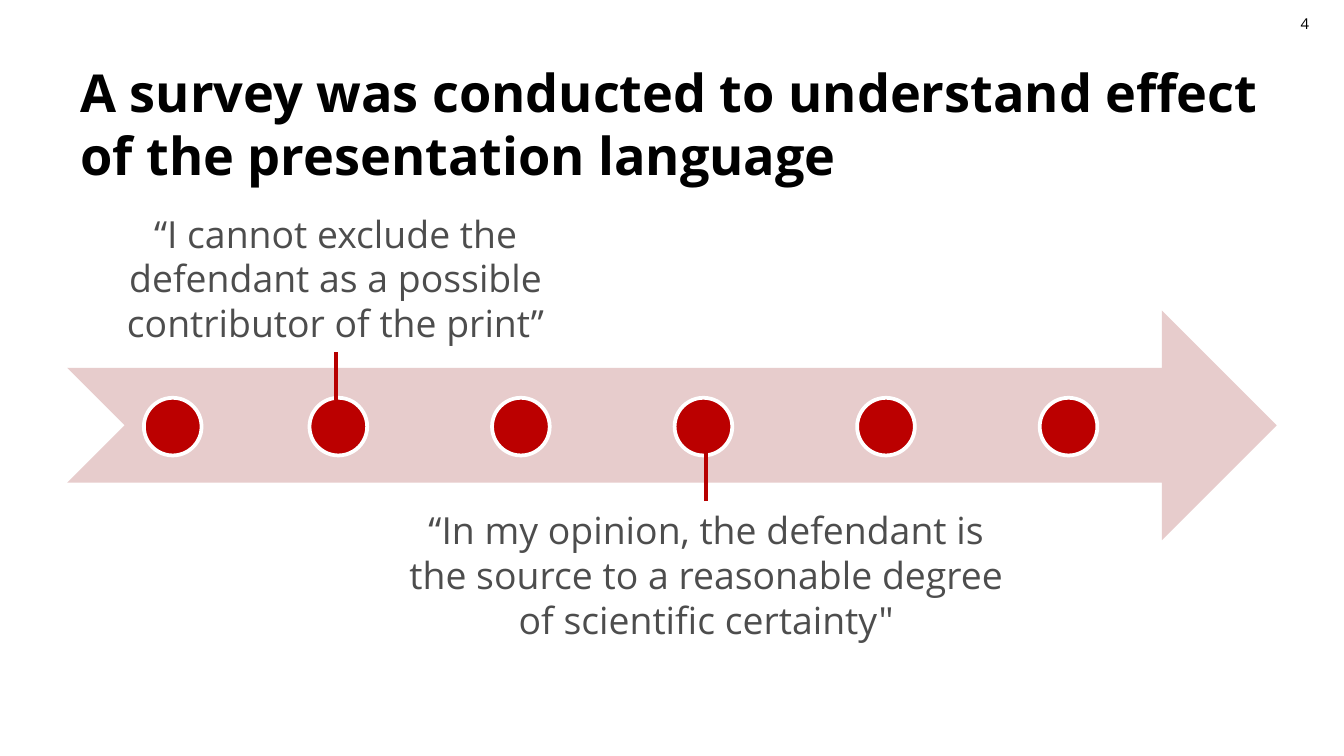
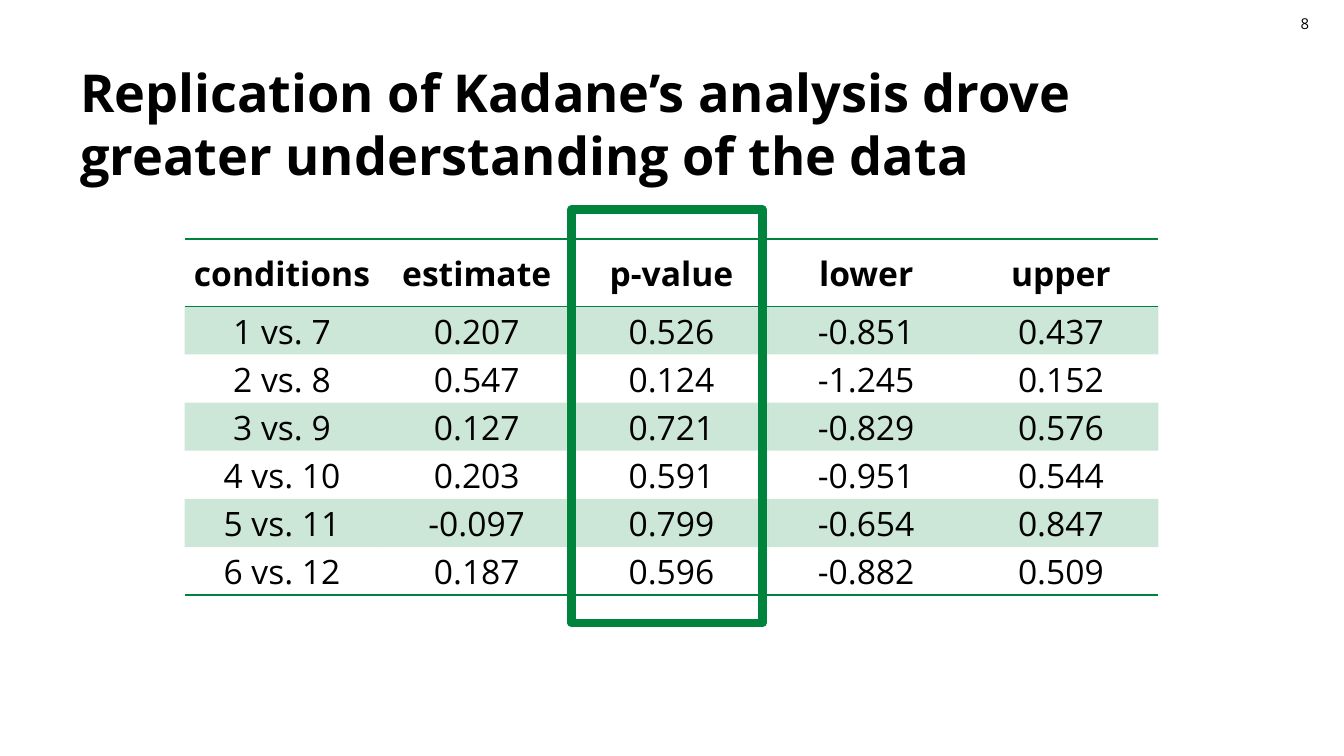
from dataclasses import dataclass

from lxml import etree
from pptx import Presentation
from pptx.dml.color import RGBColor
from pptx.enum.shapes import MSO_CONNECTOR, MSO_SHAPE
from pptx.enum.text import MSO_ANCHOR, PP_ALIGN
from pptx.oxml.ns import qn
from pptx.util import Cm, Pt

LEFT, CENTER = PP_ALIGN.LEFT, PP_ALIGN.CENTER
MIDDLE = MSO_ANCHOR.MIDDLE
ARROW, OVAL, RECT = MSO_SHAPE.NOTCHED_RIGHT_ARROW, MSO_SHAPE.OVAL, MSO_SHAPE.RECTANGLE
STRAIGHT = MSO_CONNECTOR.STRAIGHT
TOP, BOTTOM = 0, 2
PLAIN = "{2D5ABB26-0587-4C30-8999-92F81FD0307C}"


@dataclass(frozen=True)
class Theme:
    font: str = "Open Sans"
    black: str = "000000"
    white: str = "FFFFFF"
    gray: str = "4D4D4D"
    red: str = "BB0000"
    stem: str = "B70000"
    pink: str = "E7CCCC"
    green: str = "00833C"
    title: int = 28
    quote: int = 20
    cell: int = 18
    page: int = 8


THEME = Theme()

SURVEY = {
    "page": "4",
    "title": "A survey was conducted to understand effect of the presentation language",
    "upper": "“I cannot exclude the defendant as a possible contributor of the print”",
    "lower": "“In my opinion, the defendant is the source to a reasonable degree "
             "of scientific certainty\"",
}

RESULT = {
    "page": "8",
    "title": "Replication of Kadane’s analysis drove greater understanding of the data",
    "rows": [
        ("conditions", "estimate", "p-value", "lower", "upper"),
        ("1 vs. 7", "0.207", "0.526", "-0.851", "0.437"),
        ("2 vs. 8", "0.547", "0.124", "-1.245", "0.152"),
        ("3 vs. 9", "0.127", "0.721", "-0.829", "0.576"),
        ("4 vs. 10", "0.203", "0.591", "-0.951", "0.544"),
        ("5 vs. 11", "-0.097", "0.799", "-0.654", "0.847"),
        ("6 vs. 12", "0.187", "0.596", "-0.882", "0.509"),
    ],
}


def color(code):
    return RGBColor.from_string(code)


def apply(item, values):
    for name, value in values.items():
        setattr(item, name, value)


def write(frame, text, size, ink=THEME.black, bold=False, align=LEFT):
    para = frame.paragraphs[0]
    para.alignment = align
    run = para.add_run()
    run.text = text
    apply(run.font, {"name": THEME.font, "size": Pt(size), "bold": bold})
    run.font.color.rgb = color(ink)


def add_text(slide, area, text, size, **style):
    box = slide.shapes.add_textbox(*map(Cm, area))
    box.text_frame.word_wrap = True
    write(box.text_frame, text, size, **style)
    return box


def add_shape(slide, kind, area, fill=None, line=None, width=0):
    shape = slide.shapes.add_shape(kind, *map(Cm, area))
    shape.shadow.inherit = False
    if fill:
        shape.fill.solid()
        shape.fill.fore_color.rgb = color(fill)
    else:
        shape.fill.background()
    if line:
        shape.line.color.rgb = color(line)
        shape.line.width = Pt(width)
    else:
        shape.line.fill.background()
    return shape


def add_stem(slide, box, site, x, y):
    stem = slide.shapes.add_connector(STRAIGHT, Cm(x), Cm(y), Cm(x), Cm(y))
    stem.begin_connect(box, site)
    stem.end_x = stem.begin_x
    stem.line.color.rgb = color(THEME.stem)
    stem.line.width = Pt(2.25)
    etree.SubElement(stem._element.spPr, qn("a:effectLst"))


def add_edge(cell, side):
    edge = etree.SubElement(cell._tc.get_or_add_tcPr(), qn(f"a:ln{side}"), w=str(Pt(1)))
    fill = etree.SubElement(edge, qn("a:solidFill"))
    etree.SubElement(fill, qn("a:srgbClr"), val=THEME.green)


def add_page(deck, data):
    slide = deck.slides.add_slide(deck.slide_layouts[6])
    add_text(slide, (24.33, 0.15, 1.07, 0.61), data["page"], THEME.page)
    add_text(slide, (1.27, 1.02, 22.86, 1.7), data["title"], THEME.title, bold=True)
    return slide


def draw_survey(deck):
    slide = add_page(deck, SURVEY)
    add_shape(slide, ARROW, (1.27, 5.87, 22.86, 4.34), THEME.pink)
    top, size, first, step = 7.52, 1.09, 5.85, 3.45
    for left in [2.72] + [first + step * i for i in range(5)]:
        add_shape(slide, OVAL, (left, top, size, size), THEME.red, THEME.white, 2)
    style = {"ink": THEME.gray, "align": CENTER}
    upper = add_text(slide, (1.9, 3.86, 8.89, 2.8), SURVEY["upper"], THEME.quote, **style)
    lower = add_text(slide, (7.42, 9.47, 11.86, 2.82), SURVEY["lower"], THEME.quote, **style)
    add_stem(slide, upper, BOTTOM, 6.35, 7.57)
    add_stem(slide, lower, TOP, 13.35, 8.53)


def draw_result(deck):
    slide = add_page(deck, RESULT)
    rows = RESULT["rows"]
    last, wide, head, high = len(rows) - 1, 3.68, 1.27, 0.91
    frame = slide.shapes.add_table(
        len(rows), len(rows[0]), Cm(3.49), Cm(4.52),
        Cm(wide * len(rows[0])), Cm(head + high * last))
    table = frame.table
    apply(table, {"first_row": False, "horz_banding": False})
    table._tbl.tblPr.find(qn("a:tableStyleId")).text = PLAIN
    for col in table.columns:
        col.width = Cm(wide)
    pad = {"margin_left": Cm(0.03), "margin_right": Cm(0.03), "margin_top": Cm(0.03),
           "margin_bottom": 0, "vertical_anchor": MIDDLE}
    edges = {0: "TB", last: "B"}
    for r, row in enumerate(rows):
        table.rows[r].height = Cm(high if r else head)
        for c, text in enumerate(row):
            cell = table.cell(r, c)
            apply(cell, pad)
            write(cell.text_frame, text, THEME.cell, bold=r == 0, align=CENTER)
            for side in edges.get(r, ""):
                add_edge(cell, side)
            if r % 2:
                cell.fill.solid()
                cell.fill.fore_color.rgb = color(THEME.green)
                tint = cell._tc.tcPr.find(".//" + qn("a:solidFill") + "/" + qn("a:srgbClr"))
                etree.SubElement(tint, qn("a:alpha"), val="20000")
            else:
                cell.fill.background()
    focus = add_shape(slide, RECT, (10.8, 3.96, 3.61, 7.82), line=THEME.green, width=4.5)
    etree.SubElement(focus.line._get_or_add_ln(), qn("a:round"))


def main():
    deck = Presentation()
    apply(deck, {"slide_width": Cm(25.4), "slide_height": Cm(14.29)})
    draw_survey(deck)
    draw_result(deck)
    deck.save("out.pptx")


if __name__ == "__main__":
    main()
